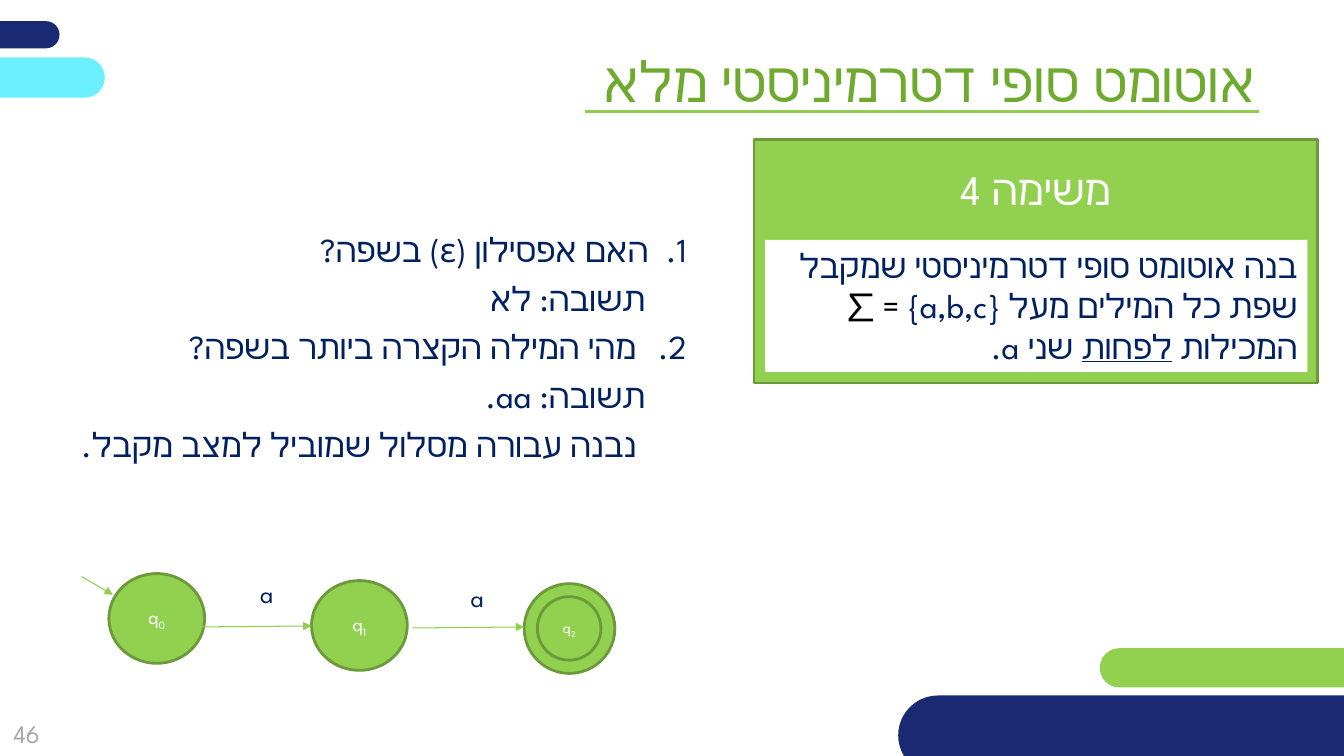
import pptx
import pptx.util
import pptx.dml.color
import pptx.enum.shapes
import pptx.enum.text
import pptx.oxml.ns
import lxml.etree

FONT = "League Spartan"
NAVY, GREEN, EDGE, LINE = "192A72", "92D050", "6C9A3B", "8FCF4B"
INK, WHITE, BLACK = "002060", "FFFFFF", "000000"

BARS = [
    ((-19.95, 2.8, 24.38, 3.6), NAVY),
    ((81.83, 85.73, 39.08, 5.2), GREEN),
    ((-16.58, 7.6, 24.38, 5.33), "6CF0FF"),
    ((66.83, 92, 42.45, 10.53), NAVY),
]
PAGE = ((-1.35, 93.2, 6.68, 7.6), "46")
TITLE = ((33, 5.47, 61.2, 10.27), "אוטומט סופי דטרמיניסטי מלא")
TITLE_RULE = (43.5, 14.8, 93.68, 14.8)
CARD = ((56.1, 18.4, 41.93, 32.27), "משימה 4")
TASK_AT = (56.93, 31.73, 40.35, 17.47)
TASK = [
    ("בנה אוטומט סופי דטרמיניסטי שמקבל שפת כל המילים מעל {a,b,c} ", {}),
    ("= ∑ ", {"color": BLACK}),
    ("המכילות ", {}),
    ("לפחות", {"underline": True}),
    (" שני a.", {}),
]
QUESTIONS_AT = (0, 29.6, 51.83, 39.33)
QUESTIONS = [
    ("האם אפסילון (ε) בשפה?", 0.38, 1),
    ("תשובה: לא", 0.41, None),
    ("מהי המילה הקצרה ביותר בשפה?", 0.5, 2),
    ("תשובה: aa.", 0.41, None),
    ("נבנה עבורה מסלול שמוביל למצב מקבל.", 0.5, None),
]
STATES = [
    ((8.1, 75.87, 7.13, 11.87), "0", 14),
    ((23.18, 76.8, 7.13, 11.87), "1", 14),
    ((39, 77.2, 6.75, 11.87), None, 14),
    ((39.98, 78.93, 4.73, 8.4), "2", 11),
]
ARROWS = [
    (6.08, 76.27, 8.4, 78.67),
    (14.78, 82.93, 23.18, 82.8),
    (30.68, 83.07, 39, 82.93),
]
LABELS = [((17.7, 75.87, 3.38, 6.8), "a"), ((32.25, 76.4, 4.5, 6.8), "a")]

KIND = pptx.enum.shapes.MSO_SHAPE
ALIGN = pptx.enum.text.PP_ALIGN
ANCHOR = pptx.enum.text.MSO_ANCHOR

prs = pptx.Presentation()
prs.slide_width = pptx.util.Inches(13.33)
prs.slide_height = pptx.util.Inches(7.5)
s = prs.slides.add_slide(prs.slide_layouts[6])


def rgb(value):
    """Turn a hex string into a colour."""
    return pptx.dml.color.RGBColor.from_string(value)


def place(box):
    """Turn percentages of the slide's width and height into lengths."""
    sides = (prs.slide_width, prs.slide_height) * 2
    return [round(part * side / 100) for part, side in zip(box, sides)]


def child(parent, tag, **attrs):
    """Append a drawing element with the given attributes."""
    el = lxml.etree.SubElement(parent, pptx.oxml.ns.qn(tag))
    for key, value in attrs.items():
        el.set(key, str(value))


def shape(kind, box, fill, edge=None):
    """Add a flat shape, outlined if an edge colour is given."""
    sp = s.shapes.add_shape(kind, *place(box))
    sp.shadow.inherit = False
    sp.fill.solid()
    sp.fill.fore_color.rgb = rgb(fill)
    if edge:
        sp.line.color.rgb = rgb(edge)
        sp.line.width = pptx.util.Pt(2)
    else:
        sp.line.fill.background()
    return sp


def frame(sp, **values):
    """Make the shape's text wrap and apply frame settings."""
    tf = sp.text_frame
    for key, value in {"word_wrap": True, "vertical_anchor": ANCHOR.TOP, **values}.items():
        setattr(tf, key, value)
    return tf


def textbox(box, **values):
    """Add a wrapping text box and return its frame."""
    return frame(s.shapes.add_textbox(*place(box)), **values)


def write(p, runs, size, color, align, rtl=True):
    """Fill a paragraph with formatted runs."""
    p.alignment = align
    p._p.get_or_add_pPr().set("rtl", str(int(rtl)))
    for text, style in runs:
        r = p.add_run()
        r.text = text
        values = {"name": FONT, "size": pptx.util.Pt(size),
                  "underline": style.get("underline")}
        for key, value in values.items():
            setattr(r.font, key, value)
        r.font.color.rgb = rgb(style.get("color", color))
        rPr = r._r.get_or_add_rPr()
        child(rPr, "a:cs", typeface=FONT)
        if "baseline" in style:
            rPr.set("baseline", str(style["baseline"]))


def line(ends, width, arrow=False):
    """Draw a straight line, with an arrowhead at its end on request."""
    c = s.shapes.add_connector(pptx.enum.shapes.MSO_CONNECTOR.STRAIGHT, *place(ends))
    c.line.color.rgb = rgb(LINE)
    c.line.width = pptx.util.Pt(width)
    if arrow:
        child(c.line._get_or_add_ln(), "a:tailEnd", type="triangle")
    child(c._element.spPr, "a:effectLst")


def main():
    """Build the slide and save it."""
    for box, fill in BARS:
        shape(KIND.ROUNDED_RECTANGLE, box, fill).adjustments[0] = 0.5
    tf = textbox(PAGE[0], vertical_anchor=ANCHOR.MIDDLE)
    write(tf.paragraphs[0], [(PAGE[1], {})], 18, "A6A6A6", ALIGN.CENTER, False)
    line(TITLE_RULE, 2.25)
    write(textbox(TITLE[0]).paragraphs[0], [(TITLE[1], {})], 40, "6EAA2E", ALIGN.RIGHT)

    tf = frame(shape(KIND.RECTANGLE, CARD[0], GREEN, EDGE), margin_top=pptx.util.Inches(0.24))
    write(tf.paragraphs[0], [(CARD[1], {})], 30, WHITE, ALIGN.CENTER)
    tf = frame(shape(KIND.RECTANGLE, TASK_AT, WHITE))
    write(tf.paragraphs[0], TASK, 24, INK, ALIGN.RIGHT)

    tf = textbox(QUESTIONS_AT)
    for i, (text, indent, number) in enumerate(QUESTIONS):
        p = tf.add_paragraph() if i else tf.paragraphs[0]
        p.space_after = pptx.util.Pt(6)
        pPr = p._p.get_or_add_pPr()
        margin = pptx.util.Inches(indent)
        pPr.set("marL", str(margin))
        pPr.set("indent", str(-margin if number else 0))
        if number:
            child(pPr, "a:buFont", typeface="+mj-lt")
            child(pPr, "a:buAutoNum", type="arabicPeriod", startAt=number)
        write(p, [(text, {})], 24, INK, ALIGN.JUSTIFY)

    for box, index, size in STATES:
        sp = shape(KIND.OVAL, box, GREEN, EDGE)
        if index:
            tf = frame(sp, vertical_anchor=ANCHOR.MIDDLE)
            runs = [("q", {}), (index, {"baseline": -25000})]
            write(tf.paragraphs[0], runs, size, WHITE, ALIGN.CENTER)
    for ends in ARROWS:
        line(ends, 0.75, True)
    for box, text in LABELS:
        write(textbox(box).paragraphs[0], [(text, {})], 18, INK, ALIGN.RIGHT)
    prs.save("out.pptx")


if __name__ == "__main__":
    main()
